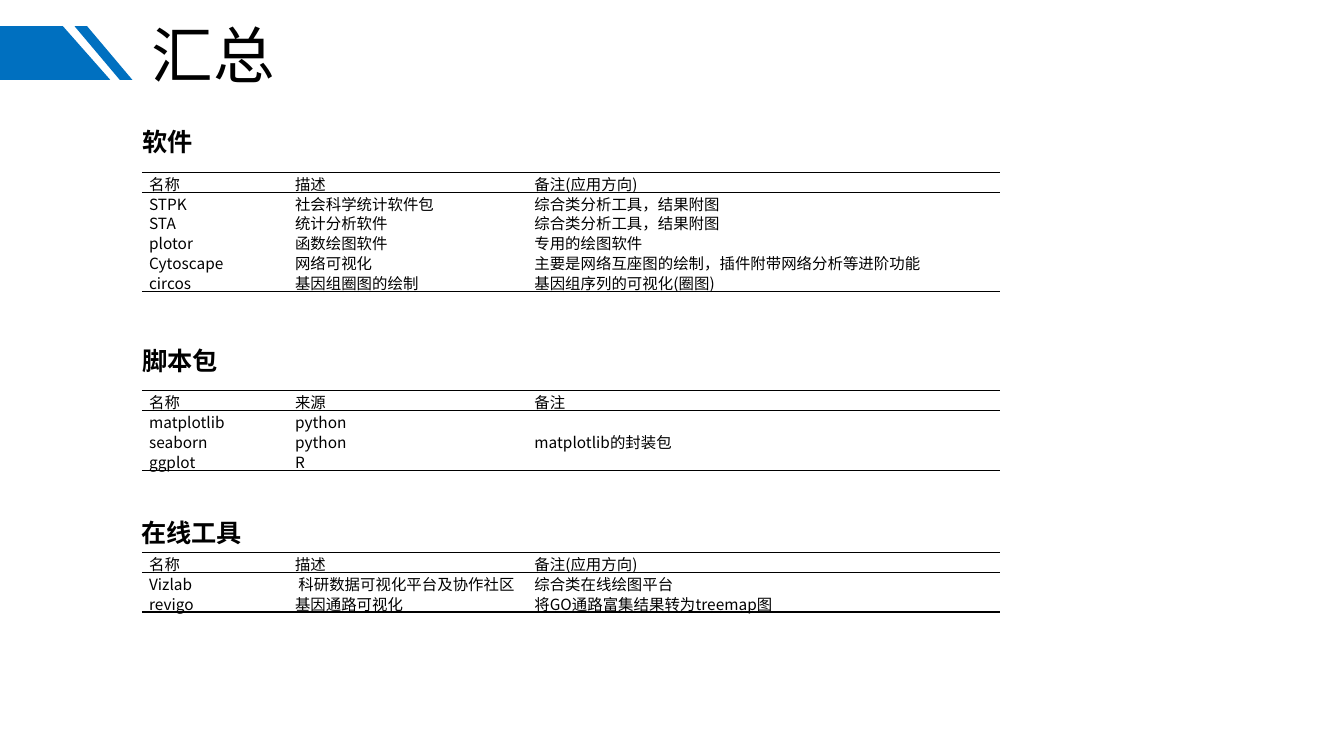
"""Builds a summary slide with three tables of plotting software, packages and online tools."""
from lxml.etree import SubElement
from pptx import Presentation
from pptx.dml.color import RGBColor
from pptx.enum.text import MSO_ANCHOR, PP_ALIGN
from pptx.oxml import parse_xml
from pptx.oxml.ns import nsdecls, qn
from pptx.util import Pt

PX = 9525
THEME = {
    "font": "Noto Sans CJK SC",
    "text": "000000",
    "accent": "0070C0",
    "title": 44,
    "heading": 18,
    "cell": 11,
}
TABLE_LEFT = 135
COLUMN_WIDTHS = [139, 228, 450]
ROW_HEIGHT = 19

SECTIONS = [
    ("软件", 126, 116, 164, [
        ("名称", "描述", "备注(应用方向)"),
        ("STPK", "社会科学统计软件包", "综合类分析工具，结果附图"),
        ("STA", "统计分析软件", "综合类分析工具，结果附图"),
        ("plotor", "函数绘图软件", "专用的绘图软件"),
        ("Cytoscape", "网络可视化", "主要是网络互座图的绘制，插件附带网络分析等进阶功能"),
        ("circos", "基因组圈图的绘制", "基因组序列的可视化(圈图)"),
    ]),
    ("脚本包", 126, 324, 372, [
        ("名称", "来源", "备注"),
        ("matplotlib", "python", ""),
        ("seaborn", "python", "matplotlib的封装包"),
        ("ggplot", "R", ""),
    ]),
    ("在线工具", 125, 488, 526, [
        ("名称", "描述", "备注(应用方向)"),
        ("Vizlab", " 科研数据可视化平台及协作社区", "综合类在线绘图平台"),
        ("revigo", "基因通路可视化", "将GO通路富集结果转为treemap图"),
    ]),
]


def write(frame, text, size, bold=False):
    """Puts one styled paragraph into a text frame and returns the paragraph."""
    frame.text = text
    para = frame.paragraphs[0]
    for span in para.runs:
        span.font.name = THEME["font"]
        span.font.size = Pt(size)
        span.font.bold = bold
        span.font.color.rgb = RGBColor.from_string(THEME["text"])
        SubElement(span.font._element, qn("a:ea"), typeface=THEME["font"])
    if not text:
        SubElement(para._p, qn("a:endParaRPr"), sz=str(size * 100))
    return para


def set_borders(cell, ruled_sides):
    """Draws the ruled sides of a cell and clears its other sides."""
    properties = cell._tc.get_or_add_tcPr()
    for index, side in enumerate("LRTB"):
        paint = "<a:noFill/>"
        if side in ruled_sides:
            paint = f'<a:solidFill><a:srgbClr val="{THEME["text"]}"/></a:solidFill>'
        line = f'<a:ln{side} {nsdecls("a")} w="{Pt(1)}">{paint}</a:ln{side}>'
        properties.insert(index, parse_xml(line))


deck = Presentation()
deck.slide_width = 1280 * PX
deck.slide_height = 720 * PX
page = deck.slides.add_slide(deck.slide_layouts[5])

for corners in (
    [(0, 25), (60, 25), (105, 76), (0, 76)],
    [(83, 25), (126, 76), (114, 76), (71, 25)],
):
    builder = page.shapes.build_freeform(*corners[0], scale=PX)
    builder.add_line_segments(corners[1:], close=True)
    stripe = builder.convert_to_shape()
    stripe.shadow.inherit = False
    stripe.fill.solid()
    stripe.fill.fore_color.rgb = RGBColor.from_string(THEME["accent"])
    stripe.line.fill.background()

title = page.shapes.title
title.left, title.top, title.width, title.height = (n * PX for n in (135, 15, 1104, 81))
title.text_frame.vertical_anchor = MSO_ANCHOR.MIDDLE
title_para = write(title.text_frame, "汇总", THEME["title"])
title_para.alignment = PP_ALIGN.LEFT
title_para.line_spacing = 0.9

for heading, heading_left, heading_top, table_top, rows in SECTIONS:
    box = page.shapes.add_textbox(heading_left * PX, heading_top * PX, 292 * PX, 38 * PX)
    box.text_frame.word_wrap = True
    write(box.text_frame, heading, THEME["heading"], bold=True)

    table = page.shapes.add_table(
        len(rows), len(COLUMN_WIDTHS), TABLE_LEFT * PX, table_top * PX,
        sum(COLUMN_WIDTHS) * PX, len(rows) * ROW_HEIGHT * PX,
    ).table
    table.first_row = False
    table.horz_banding = False
    for column, width in zip(table.columns, COLUMN_WIDTHS):
        column.width = width * PX
    for row_index, row in enumerate(rows):
        table.rows[row_index].height = ROW_HEIGHT * PX
        ruled_sides = {0: "TB", 1: "T", len(rows) - 1: "B"}.get(row_index, "")
        for column_index, text in enumerate(row):
            cell = table.cell(row_index, column_index)
            cell.margin_left = cell.margin_right = 7 * PX
            cell.margin_top = cell.margin_bottom = 0
            cell.vertical_anchor = MSO_ANCHOR.BOTTOM
            cell.fill.background()
            set_borders(cell, ruled_sides)
            write(cell.text_frame, text, THEME["cell"])

deck.save("out.pptx")
